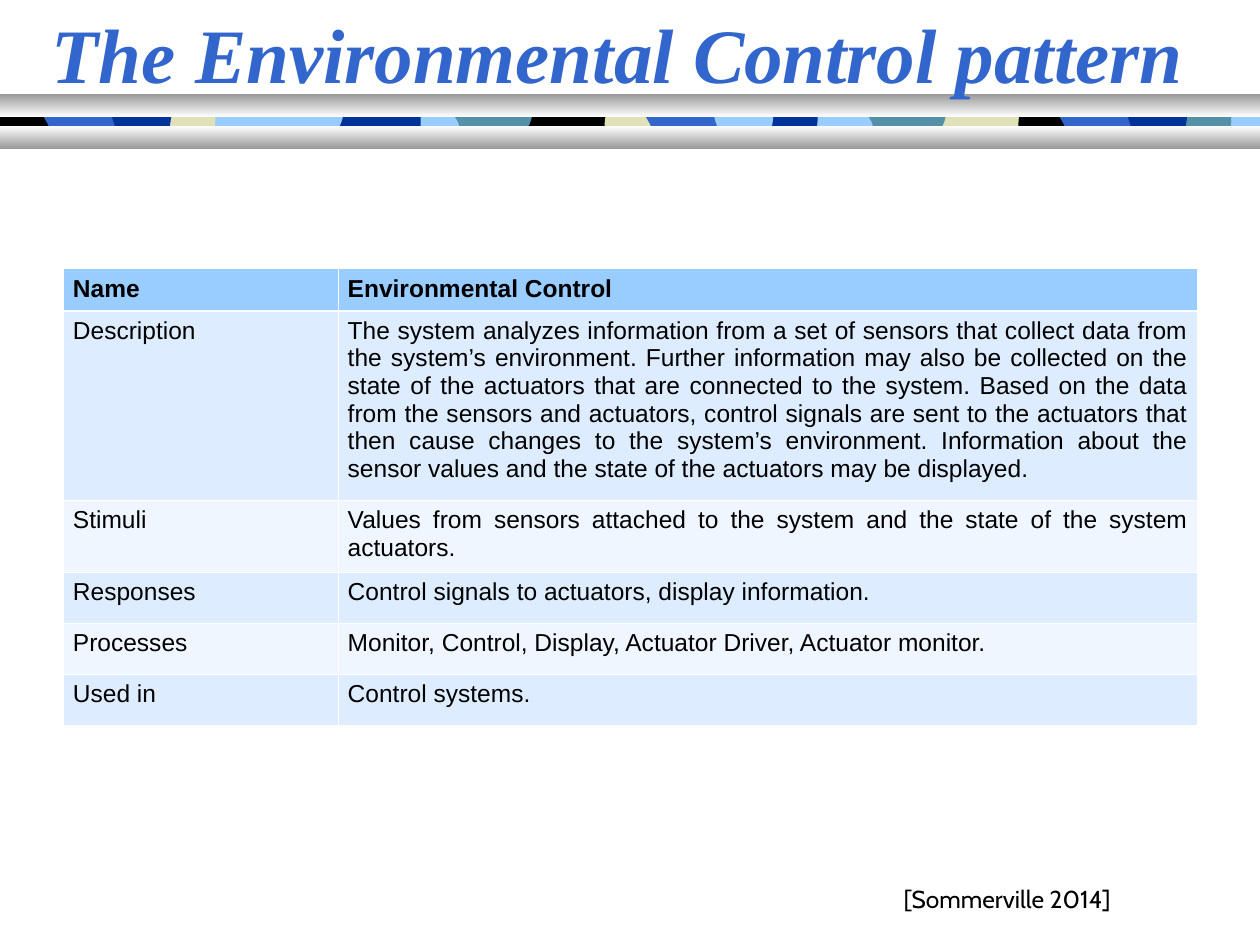
from pptx import Presentation
from pptx.dml.color import RGBColor as Rgb
from pptx.enum.shapes import MSO_SHAPE as Kind
from pptx.enum.text import MSO_ANCHOR as Anchor, PP_ALIGN as Align
from pptx.oxml import parse_xml
from pptx.util import Cm, Pt

HUES = {"sky": "99CCFF", "teal": "5490A8", "sand": "E1E1B7", "black": "000000",
        "blue": "3366CC", "navy": "003399", "gray": "999999", "white": "FFFFFF",
        "band": "DEECFF", "pale": "EFF6FF"}
NS = "http://schemas.openxmlformats.org/drawingml/2006/main"
TOP, TALL = 2.16, 0.72

BEND = [(0, 0), (-0.18, 0.46), (0, 0.58), (0, 0.72)]
BULGE = [(0, 0.72), (-0.15, 0.61), (-0.15, 0.13), (0, 0)]
TILES = {
    "wave": (0, 1.59, [(0, 0.72), (0.28, 0.23), (-0.28, 0.13), (0, 0)], []),
    "curl": (1.5, 1.6, [(0, 0.72), (-0.28, 0.61), (0.18, 0.23), (0, 0)], []),
    "drum": (6.33, 0.83, BULGE, [(0, 0), (0.15, 0.05), (0.13, 0.15), (0.13, 0.28),
                                 (0.13, 0.41), (0.03, 0.64), (0, 0.72)]),
    "cup": (3.11, 1.11, BULGE, BEND),
    "edge": (2.95, 1.3, [], BEND),
    "hook": (3.75, 1.6, [(0, 0.72), (0.2, 0.61), (0.2, 0.56), (0.2, 0.46),
                         (0.2, 0.33), (0, 0.13), (0, 0)], []),
    "twist": (5.28, 1.04, [(0, 0.72), (-0.18, 0.69), (0, 0.56), (0, 0.46),
                           (0, 0.33), (-0.18, 0.08), (0, 0)],
              [(0, 0), (0.18, 0.1), (0, 0.48), (0, 0.72)]),
}
STRIP = [
    (17.53, {"wave": "teal", "curl": "sand", "drum": "teal",
             "cup": "black", "hook": "blue", "twist": "navy"}),
    (9.19, {"wave": "teal", "curl": "black", "drum": "navy",
            "cup": "sand", "hook": "blue", "twist": "sky"}),
    (5.38, {"wave": "sky", "curl": "navy"}),
    (-2.95, {"drum": "sand", "edge": "black", "hook": "blue", "twist": "navy"}),
]
ROWS = [
    ("Name", "Environmental Control"),
    ("Description", "The system analyzes information from a set of sensors that collect "
     "data from the system’s environment. Further information may also be collected on the "
     "state of the actuators that are connected to the system. Based on the data from the "
     "sensors and actuators, control signals are sent to the actuators that then cause "
     "changes to the system’s environment. Information about the sensor values and the "
     "state of the actuators may be displayed."),
    ("Stimuli", "Values from sensors attached to the system and the state of the system "
     "actuators."),
    ("Responses", "Control signals to actuators, display information."),
    ("Processes", "Monitor, Control, Display, Actuator Driver, Actuator monitor."),
    ("Used in", "Control systems. "),
]


def hue(name):
    """Return the named colour."""
    return Rgb.from_string(HUES[name])


def trace(pts, steps=8):
    """Return points along a chain of cubic curves."""
    out = pts[:1]
    for i in range(0, len(pts) - 1, 3):
        for n in range(1, steps + 1):
            t = n / steps
            parts = ((1 - t) ** 3, 3 * t * (1 - t) ** 2, 3 * t * t * (1 - t), t ** 3)
            out.append(tuple(sum(w * p[k] for w, p in zip(parts, pts[i:i + 4]))
                             for k in (0, 1)))
    return out


class Deck:
    """Hold the style and the current slide."""

    def __init__(self):
        """Start a deck with one blank slide."""
        self.show = Presentation()
        self.show.slide_width, self.show.slide_height = Cm(25.4), Cm(19.05)
        self.page = self.show.slides.add_slide(self.show.slide_layouts[6])
        self.items = self.page.shapes

    def plain(self, shape, tint):
        """Give a shape a flat fill with no line or shadow."""
        shape.shadow.inherit = False
        shape.line.fill.background()
        shape.fill.solid()
        shape.fill.fore_color.rgb = hue(tint)

    def bar(self, left, top, wide, tall, tint, end=None):
        """Add a rectangle, shaded downwards when an end colour is given."""
        box = self.items.add_shape(Kind.RECTANGLE, Cm(left), Cm(top), Cm(wide), Cm(tall))
        self.plain(box, tint)
        if end:
            box.fill.gradient()
            box.fill.gradient_angle = 270
            for stop, name in zip(box.fill.gradient_stops, (tint, end)):
                stop.color.rgb = hue(name)

    def tile(self, base, kind, tint):
        """Add one curved tile of the strip."""
        shift, wide, left, right = TILES[kind]
        left = trace(left or [(0, TALL), (0, 0)][:1]) + [(0, 0)]
        right = trace(right) if right else [(0, 0), (0, TALL)]
        x = base + shift
        pts = [(x + a, b) for a, b in left] + [(x + wide + a, b) for a, b in right]
        pts = [(Cm(a), Cm(TOP + b)) for a, b in pts]
        form = self.items.build_freeform(*pts[0], scale=1.0)
        form.add_line_segments(pts[1:], close=True)
        self.plain(form.convert_to_shape(), tint)

    def style(self, para, face, size, tint, bold=False, slant=False):
        """Format the runs of a paragraph."""
        for run in para.runs:
            font = run.font
            font.name, font.size = face, Pt(size)
            font.bold, font.italic = bold, slant
            font.color.rgb = hue(tint)

    def text(self, words, area, anchor, pad, **look):
        """Add a centred text box."""
        frame = self.items.add_textbox(*map(Cm, area)).text_frame
        frame.word_wrap, frame.vertical_anchor = True, anchor
        frame.margin_left = frame.margin_right = Cm(pad)
        frame.margin_top = frame.margin_bottom = Cm(pad / 2)
        frame.text = words
        para = frame.paragraphs[0]
        para.alignment = Align.CENTER
        self.style(para, **look)

    def rule(self, cell, row):
        """Draw white cell borders, heavier below the header."""
        heavy = {0: "B", 1: "T"}.get(row)
        props = cell._tc.get_or_add_tcPr()
        for n, side in enumerate("LRTB"):
            wide = Pt(1.47 if side == heavy else 0.45)
            props.insert(n, parse_xml(
                f'<a:ln{side} xmlns:a="{NS}" w="{wide}"><a:solidFill>'
                f'<a:srgbClr val="{HUES["white"]}"/></a:solidFill></a:ln{side}>'))

    def table(self, rows, area, cols, talls):
        """Add the banded table."""
        grid = self.items.add_table(len(rows), len(cols), *map(Cm, area)).table
        for col, wide in zip(grid.columns, cols):
            col.width = Cm(wide)
        for r, (words, tall) in enumerate(zip(rows, talls)):
            grid.rows[r].height = Cm(tall)
            tint = "sky" if r == 0 else ("pale", "band")[r % 2]
            for cell, word in zip(grid.rows[r].cells, words):
                cell.fill.solid()
                cell.fill.fore_color.rgb = hue(tint)
                cell.margin_left = cell.margin_right = Cm(0.19)
                cell.margin_top = cell.margin_bottom = Cm(0.13)
                cell.text = word
                para = cell.text_frame.paragraphs[0]
                para.alignment, para.space_after = Align.JUSTIFY, Pt(3)
                self.style(para, "Arial", 14, "black", bold=r == 0)
                self.rule(cell, r)


def main():
    """Build and save the slide."""
    deck = Deck()
    deck.bar(0.08, 2.18, 25.32, 0.71, "sky")
    for base, tiles in STRIP:
        for kind, tint in tiles.items():
            deck.tile(base, kind, tint)
    deck.bar(0, 1.9, 25.4, 0.46, "gray", "white")
    deck.bar(0, 2.54, 25.4, 0.46, "white", "gray")
    deck.text("The Environmental Control pattern ", (0, 0, 25.32, 2.11), Anchor.MIDDLE, 0,
              face="Times New Roman", size=44, tint="blue", bold=True, slant=True)
    deck.table(ROWS, (1.28, 5.41, 22.86, 8.43), (5.54, 17.32),
               (0.58, 3.56, 1.19, 1.03, 1.03, 1.03))
    deck.text("[Sommerville 2014]", (16.28, 17.27, 8.05, 1.27), Anchor.BOTTOM, 0.25,
              face="Cabin", size=14, tint="black")
    deck.show.save("out.pptx")


if __name__ == "__main__":
    main()
